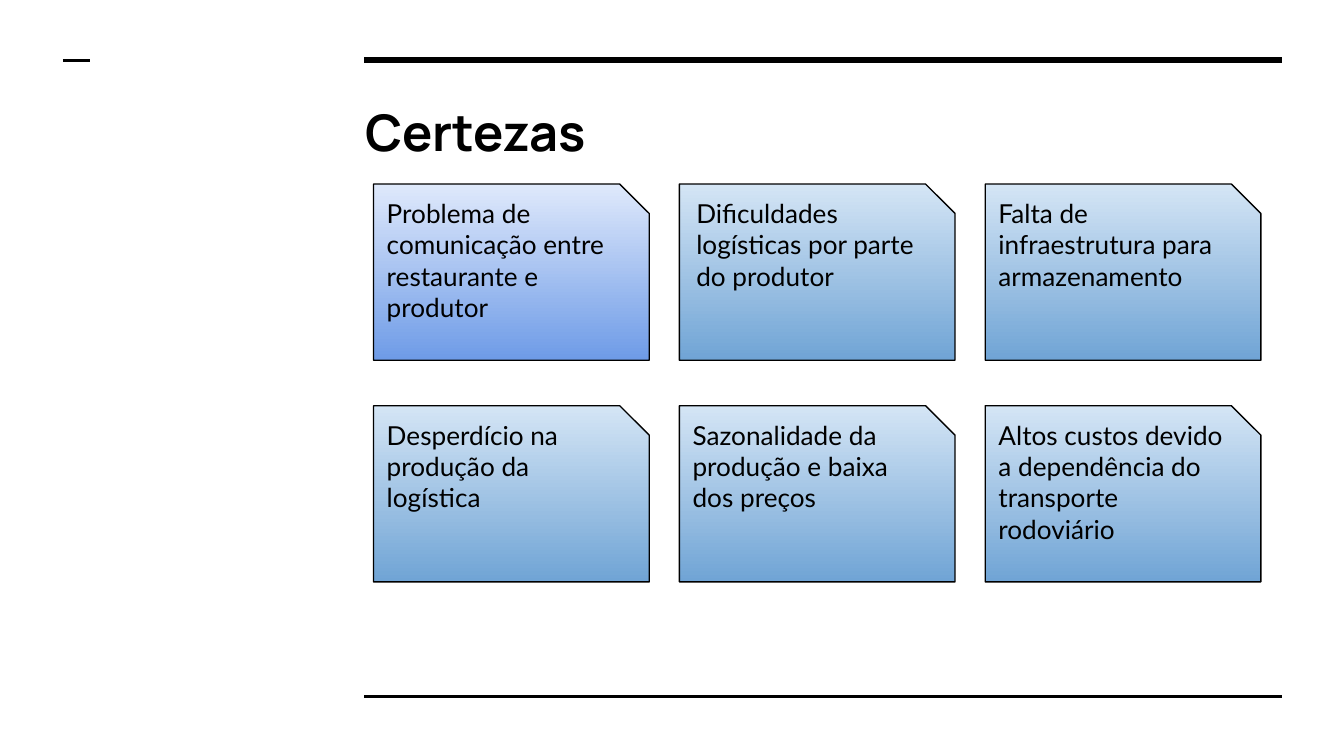
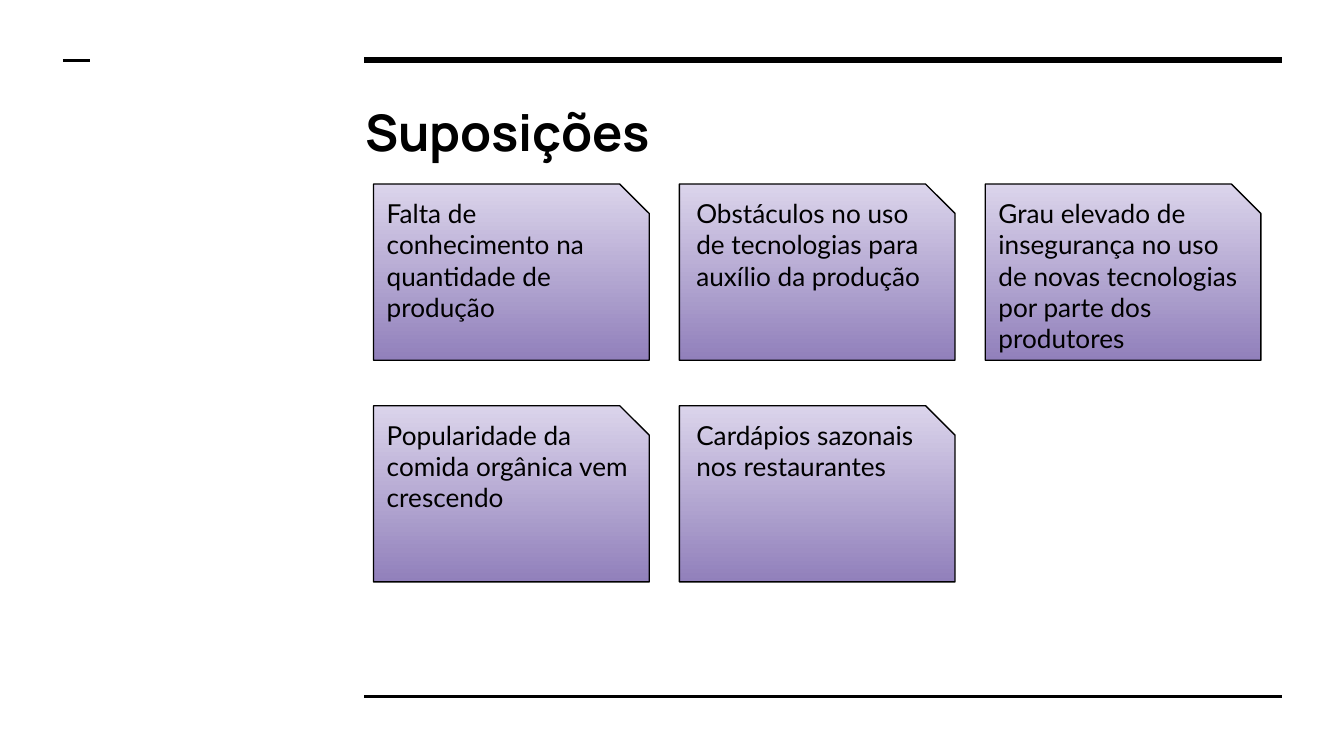
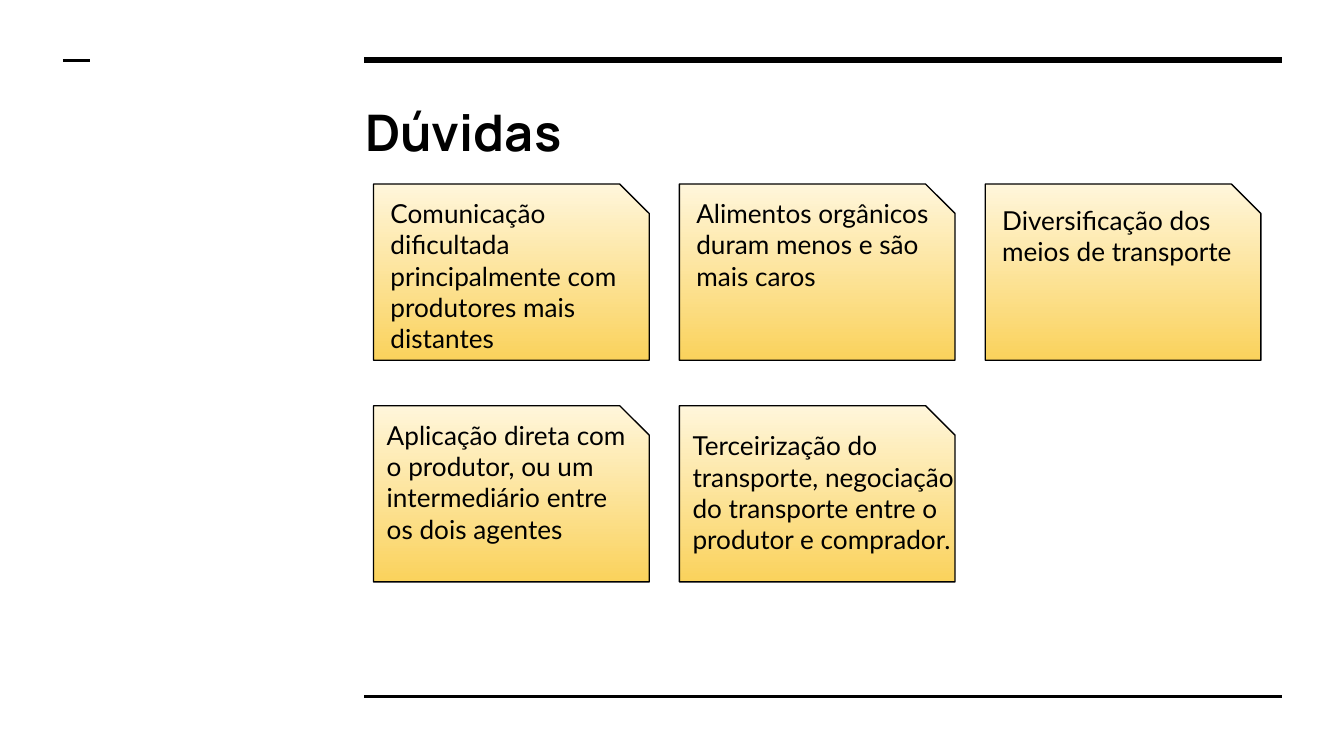
from dataclasses import dataclass

from lxml import etree
from pptx import Presentation
from pptx.dml.color import RGBColor
from pptx.enum import shapes, text
from pptx.oxml.ns import qn
from pptx.util import Cm, Pt


@dataclass(frozen=True)
class Theme:
    ink = RGBColor.from_string("000000")
    indigo = ("DFE9FB", "6E9BE7")
    blue = ("D4E5F5", "70A4D5")
    purple = ("DBD4EB", "9180BB")
    yellow = ("FFF6DB", "FAD25C")
    heading = {"name": "Manrope", "size": Pt(27), "bold": True}
    body = {"name": "Lato", "size": Pt(14), "bold": False}
    thick, medium, thin = Pt(3), Pt(1.5), Pt(0.75)
    inset = Cm(0.25)


theme = Theme()

COLUMNS = 3
CARD_LEFT, CARD_TOP = 7.06, 3.48
CARD_WIDTH, CARD_HEIGHT = 5.21, 3.33
COLUMN_STEP, ROW_STEP = 5.78, 4.19
NOTE_WIDTH = 5.08
LINE_HEIGHT = 0.6

# Rules: x from, x to, y, weight
RULES = [
    (6.88, 24.23, 1.14, theme.thick),
    (6.88, 24.23, 13.16, theme.medium),
    (1.19, 1.7, 1.14, theme.medium),
]

# Notes: wording, lines, shift right, shift down, extra width
BOARDS = [
    ("Certezas", [theme.indigo] + [theme.blue] * 5, [
        ("Problema de comunicação entre restaurante e produtor", 4, 0, 0, 0),
        ("Dificuldades logísticas por parte do produtor", 3, 0.07, 0, 0),
        ("Falta de infraestrutura para armazenamento", 4, 0, 0, 0),
        ("Desperdício na produção da logística", 2, 0, 0, 0),
        ("Sazonalidade da produção e baixa dos preços", 3, 0, 0, 0),
        ("Altos custos devido a dependência do transporte rodoviário", 4, 0, 0, 0),
    ]),
    ("Suposições", [theme.purple] * 5, [
        ("Falta de conhecimento na quantidade de produção", 4, 0, 0, 0),
        ("Obstáculos no uso de tecnologias para auxílio da produção", 3, 0.07, 0, 0),
        ("Grau elevado de insegurança no uso de novas tecnologias "
         "por parte dos produtores", 5, 0, 0, 0),
        ("Popularidade da comida orgânica vem crescendo", 3, 0, 0, 0),
        ("Cardápios sazonais nos restaurantes", 2, 0.07, 0, 0),
    ]),
    ("Dúvidas", [theme.yellow] * 5, [
        ("Comunicação dificultada principalmente com produtores mais distantes",
         5, 0.07, 0, 0),
        ("Alimentos orgânicos duram menos e são mais caros", 3, 0.07, 0, 0),
        ("Diversificação dos meios de transporte", 2, 0.07, 0.13, 0),
        ("Aplicação direta com o produtor, ou um intermediário "
         "entre os dois agentes", 4, 0, 0, 0),
        ("Terceirização do transporte, negociação do transporte "
         "entre o produtor e comprador.", 4, 0, 0.2, 0.69),
    ]),
]


def write(frame, wording, style, anchor, auto_size):
    """Put left-aligned wording in a text frame, in the given type style."""
    frame.text = wording
    layout_values = {
        "word_wrap": True, "auto_size": auto_size, "vertical_anchor": anchor,
        "margin_left": theme.inset, "margin_right": theme.inset,
        "margin_top": theme.inset, "margin_bottom": theme.inset,
    }
    for attribute, value in layout_values.items():
        setattr(frame, attribute, value)
    paragraph = frame.paragraphs[0]
    paragraph.alignment = text.PP_ALIGN.LEFT
    font = paragraph.runs[0].font
    for attribute, value in style.items():
        setattr(font, attribute, value)
    font.color.rgb = theme.ink


deck = Presentation()
deck.slide_width, deck.slide_height = Cm(25.4), Cm(14.29)
title_only = deck.slide_layouts.get_by_name("Title Only")
for placeholder in list(title_only.placeholders):
    if placeholder.placeholder_format.type != shapes.PP_PLACEHOLDER.TITLE:
        title_only.shapes.element.remove(placeholder.element)

slides = [deck.slides.add_slide(title_only) for _ in BOARDS]

# The rules are drawn once and moved to the layout that all slides share
rules = []
for start, end, y, weight in RULES:
    rule = slides[0].shapes.add_connector(
        shapes.MSO_CONNECTOR.STRAIGHT, Cm(start), Cm(y), Cm(end), Cm(y))
    rule.line.color.rgb = theme.ink
    rule.line.width = weight
    etree.SubElement(rule.element.spPr, qn("a:effectLst"))
    rules.append(rule)
for rule in rules:
    title_only.shapes.element.append(rule.element)

for slide, (heading, gradients, notes) in zip(slides, BOARDS):
    title = slide.shapes.title
    title.left, title.top = Cm(6.65), Cm(1.6)
    title.width, title.height = Cm(17.55), Cm(1.75)
    write(title.text_frame, heading, theme.heading,
          text.MSO_ANCHOR.MIDDLE, text.MSO_AUTO_SIZE.NONE)

    for position, (gradient, note) in enumerate(zip(gradients, notes)):
        wording, lines, shift_right, shift_down, extra_width = note
        row, column = divmod(position, COLUMNS)
        left = CARD_LEFT + column * COLUMN_STEP
        top = CARD_TOP + row * ROW_STEP

        card = slide.shapes.add_shape(
            shapes.MSO_SHAPE.SNIP_1_RECTANGLE,
            Cm(left), Cm(top), Cm(CARD_WIDTH), Cm(CARD_HEIGHT))
        card.adjustments[0] = 0.167
        card.shadow.inherit = False
        card.fill.gradient()
        card.fill.gradient_angle = 270
        for stop, colour in zip(card.fill.gradient_stops, gradient):
            stop.color.rgb = RGBColor.from_string(colour)
        card.line.color.rgb = theme.ink
        card.line.width = theme.thin

        caption = slide.shapes.add_textbox(
            Cm(left + shift_right), Cm(top + shift_down),
            Cm(NOTE_WIDTH + extra_width), Cm(0.5 + lines * LINE_HEIGHT))
        write(caption.text_frame, wording, theme.body,
              text.MSO_ANCHOR.TOP, text.MSO_AUTO_SIZE.SHAPE_TO_FIT_TEXT)

deck.save("out.pptx")
